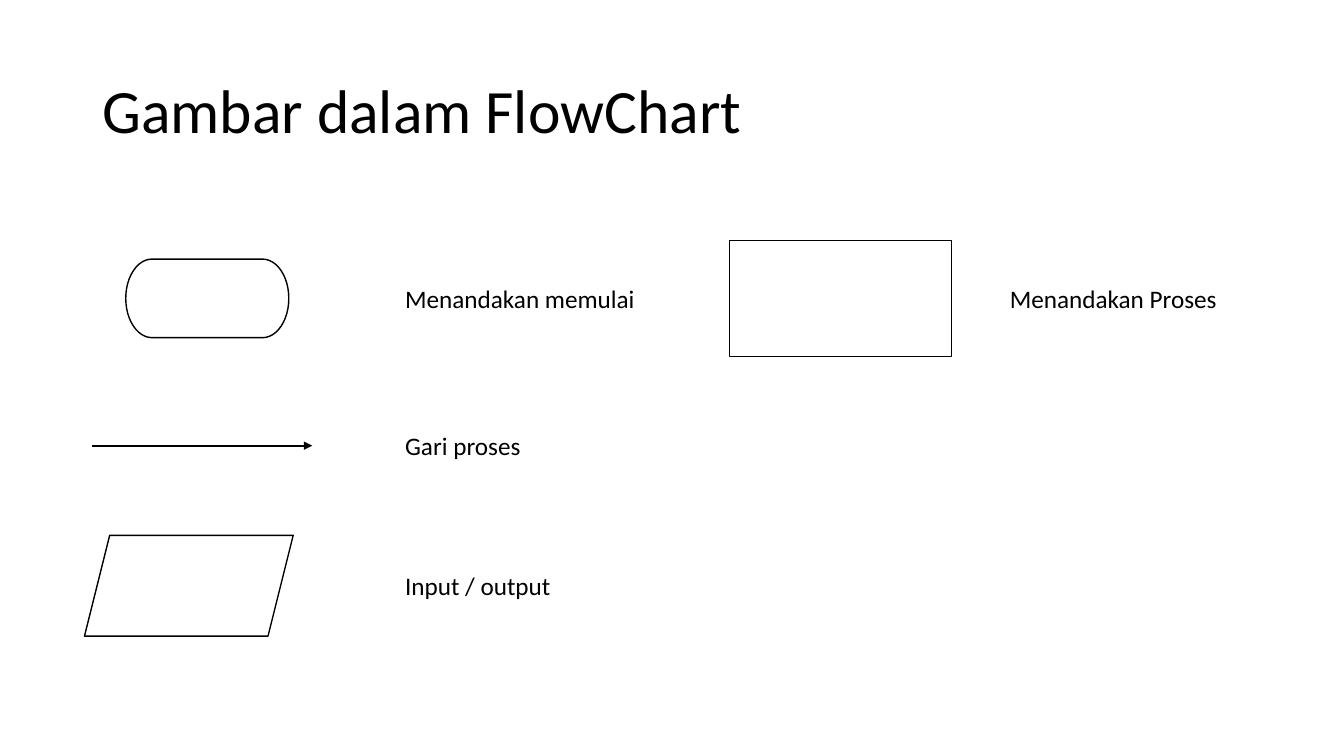
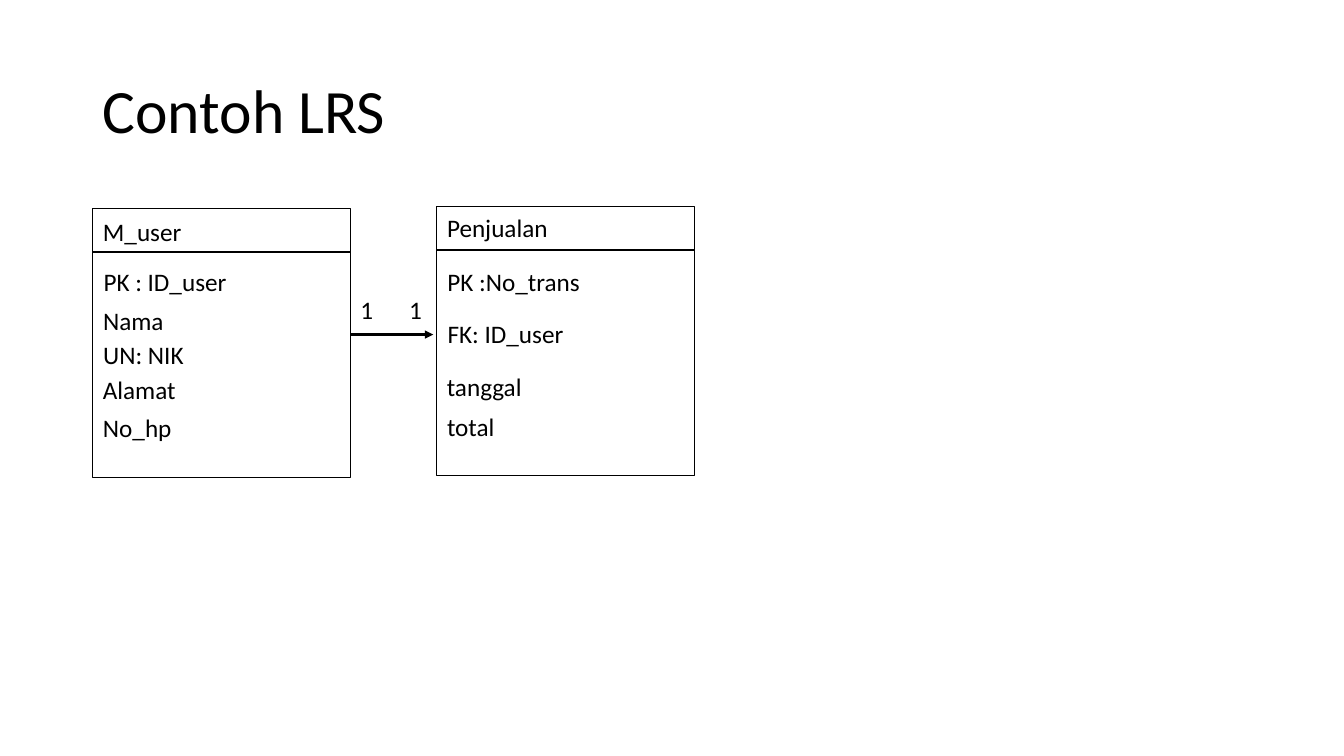
"""Build two slides on flowchart symbols and a logical record structure."""
import lxml.etree
import pptx
import pptx.dml.color
import pptx.enum.shapes
import pptx.enum.text
import pptx.oxml.ns
import pptx.util

Cm = pptx.util.Cm
Pt = pptx.util.Pt
qn = pptx.oxml.ns.qn
SHAPE = pptx.enum.shapes.MSO_SHAPE
ALIGN = pptx.enum.text.PP_ALIGN
BLACK = pptx.dml.color.RGBColor(0x00, 0x00, 0x00)
WHITE = pptx.dml.color.RGBColor(0xFF, 0xFF, 0xFF)


def apply(target, values):
    for name, value in values.items():
        setattr(target, name, value)


class Deck:
    FONT = {"name": "Calibri", "bold": False}
    TITLE_BOX = {"left": Cm(2.33), "top": Cm(1.02), "width": Cm(29.21), "height": Cm(3.68)}
    TITLE_FRAME = {
        "vertical_anchor": pptx.enum.text.MSO_ANCHOR.MIDDLE,
        "auto_size": pptx.enum.text.MSO_AUTO_SIZE.NONE,
        "word_wrap": True,
    }
    LABEL_FRAME = {
        "auto_size": pptx.enum.text.MSO_AUTO_SIZE.SHAPE_TO_FIT_TEXT,
        "word_wrap": False,
    }
    LABEL_HEIGHT = 1.02
    ENTITY_WIDTH, ENTITY_HEIGHT, HEADER_HEIGHT = 6.5, 6.78, 1.1

    def __init__(self):
        self.presentation = pptx.Presentation()
        apply(self.presentation, {"slide_width": Cm(33.87), "slide_height": Cm(19.05)})
        self.slide = None

    def set_text(self, frame, text, size, paragraph_format):
        frame.text = text
        paragraph = frame.paragraphs[0]
        apply(paragraph, paragraph_format)
        font = paragraph.runs[0].font
        apply(font, {**self.FONT, "size": Pt(size)})
        font.color.rgb = BLACK

    def new_slide(self, text):
        self.slide = self.presentation.slides.add_slide(self.presentation.slide_layouts[5])
        title = self.slide.shapes.title
        apply(title, self.TITLE_BOX)
        apply(title.text_frame, self.TITLE_FRAME)
        self.set_text(title.text_frame, text, 44, {"alignment": ALIGN.LEFT, "line_spacing": 0.9})

    def label(self, text, left, top, width, alignment=ALIGN.LEFT, shapes=None):
        shapes = shapes or self.slide.shapes
        box = shapes.add_textbox(Cm(left), Cm(top), Cm(width), Cm(self.LABEL_HEIGHT))
        apply(box.text_frame, self.LABEL_FRAME)
        self.set_text(box.text_frame, text, 18, {"alignment": alignment})

    def outline(self, kind, left, top, width, height, shapes=None):
        if shapes is None:
            shapes = self.slide.shapes
        shape = shapes.add_shape(kind, Cm(left), Cm(top), Cm(width), Cm(height))
        shape.shadow.inherit = False
        shape.fill.solid()
        shape.fill.fore_color.rgb = WHITE
        shape.line.color.rgb = BLACK
        shape.line.width = Pt(1)

    def line(self, left, right, y, arrow=False, shapes=None):
        shapes = shapes or self.slide.shapes
        connector = shapes.add_connector(
            pptx.enum.shapes.MSO_CONNECTOR.STRAIGHT, Cm(left), Cm(y), Cm(right), Cm(y))
        connector.line.color.rgb = BLACK
        connector.line.width = Pt(1.5)
        properties = connector.element.spPr
        if arrow:
            lxml.etree.SubElement(properties.find(qn("a:ln")), qn("a:tailEnd"), type="triangle")
        lxml.etree.SubElement(properties, qn("a:effectLst"))

    def symbol(self, kind, left, middle, width, height):
        self.outline(kind, left, middle - height / 2, width, height)

    def meaning(self, text, left, middle, width):
        self.label(text, left, middle - self.LABEL_HEIGHT / 2, width)

    def entity(self, left, top, fields):
        shapes = self.slide.shapes.add_group_shape().shapes
        self.outline(SHAPE.RECTANGLE, left, top, self.ENTITY_WIDTH, self.ENTITY_HEIGHT, shapes)
        self.line(left, left + self.ENTITY_WIDTH, top + self.HEADER_HEIGHT, shapes=shapes)
        for text, field_top, width in fields:
            self.label(text, left, field_top, width, ALIGN.CENTER, shapes)


def build_symbols(deck):
    deck.new_slide("Gambar dalam FlowChart")
    first_row, second_row, third_row = 7.52, 11.23, 14.76
    left_text, right_text = 9.96, 25.2
    deck.symbol(SHAPE.FLOWCHART_TERMINATOR, 3.17, first_row, 4.11, 1.98)
    deck.meaning("Menandakan memulai", left_text, first_row, 6.38)
    deck.symbol(SHAPE.RECTANGLE, 18.39, first_row, 5.59, 2.92)
    deck.meaning("Menandakan Proses", right_text, first_row, 5.79)
    deck.line(2.33, 7.87, second_row, arrow=True)
    deck.meaning("Gari proses", left_text, second_row, 3.45)
    deck.symbol(SHAPE.PARALLELOGRAM, 2.13, third_row, 5.26, 2.54)
    deck.meaning("Input / output", left_text, third_row, 4.22)


def build_record_structure(deck):
    deck.new_slide("Contoh LRS")
    deck.entity(2.33, 5.26, [
        ("M_user", 5.33, 2.51),
        ("PK : ID_user", 6.58, 3.66),
        ("Nama", 7.57, 2.06),
        ("UN: NIK", 8.43, 2.57),
        ("Alamat", 9.32, 2.36),
        ("No_hp", 10.26, 2.26),
    ])
    deck.entity(11, 5.2, [
        ("Penjualan", 5.23, 3.07),
        ("PK :No_trans", 6.58, 3.89),
        ("FK: ID_user", 7.9, 3.48),
        ("tanggal", 9.22, 2.41),
        ("total", 10.24, 1.73),
    ])
    deck.line(8.83, 10.92, 8.43, arrow=True)
    for left in (8.83, 10.06):
        deck.label("1", left, 7.29, 0.84)


def main():
    deck = Deck()
    build_symbols(deck)
    build_record_structure(deck)
    deck.presentation.save("out.pptx")


if __name__ == "__main__":
    main()
